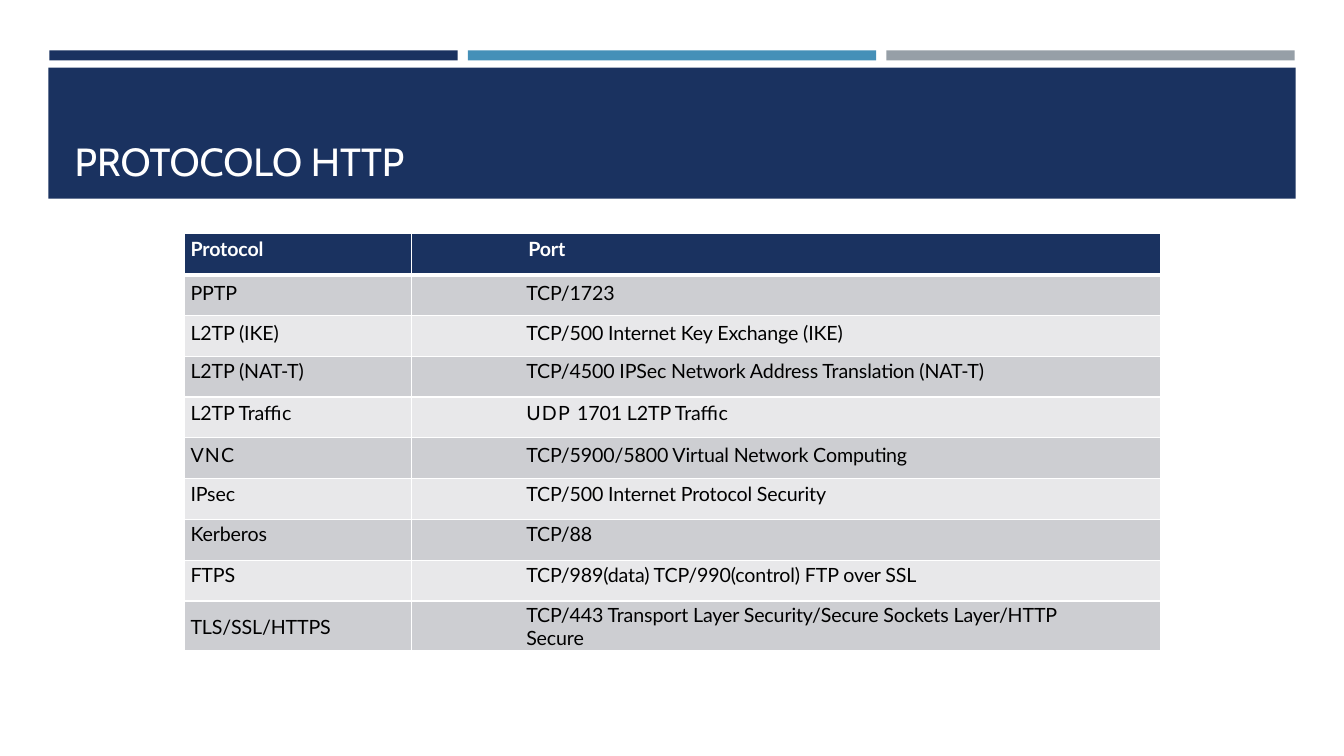
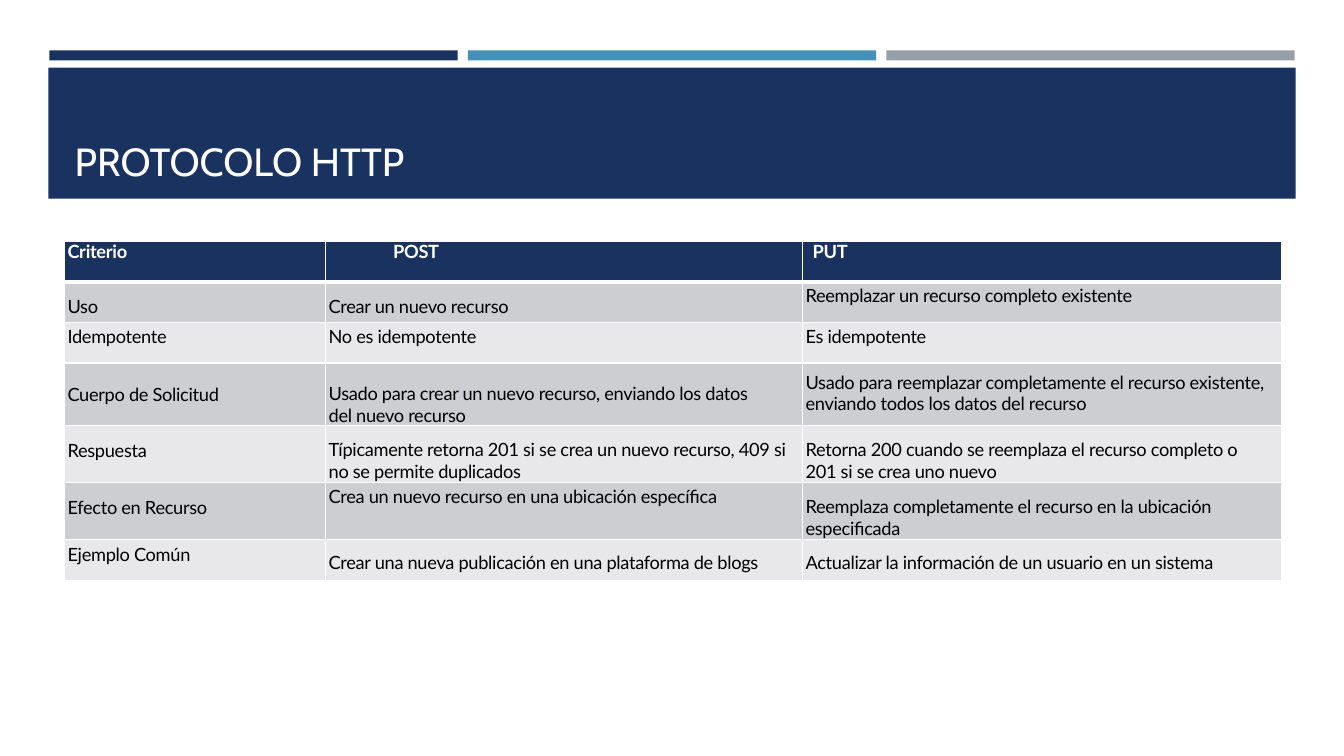
"""Build two slides that share a banded title and each hold one table."""
from dataclasses import dataclass

from lxml.etree import SubElement
from pptx import Presentation
from pptx.dml.color import RGBColor as RGB
from pptx.enum.shapes import MSO_SHAPE as SHAPE
from pptx.enum.text import MSO_ANCHOR as ANCHOR, PP_ALIGN as ALIGN
from pptx.oxml.ns import qn
from pptx.util import Inches, Pt


@dataclass(frozen=True)
class Theme:
    navy: str = "1A3260"
    blue: str = "4590B8"
    grey: str = "969FA7"
    white: str = "FFFFFF"
    black: str = "000000"
    stripes: tuple = ("E8E8EA", "CDCED2")
    title_font: str = "Cabin"
    body_font: str = "Lato"
    title_size: int = 28
    rule: int = 1
    header_rule: int = 3


T = Theme()
TITLE = "PROTOCOLO HTTP"
TRACKED = {"VNC": 80, "UDP ": 90}

PORTS = {
    "at": (1.83, 2.32, 9.68, 4.05),
    "cols": (2.25, 7.43),
    "size": 14,
    "tracking": -10,
    "head_indents": (0.06, 1.16),
    "indents": (0.06, 1.14),
    "right": (0, 0.6),
    "rows": [
        [("Protocol", 0.03), ("Port", 0.03)],
        [("PPTP", 0.06), ("TCP/1723", 0.06)],
        [("L2TP (IKE)", 0.06), ("TCP/500 Internet Key Exchange (IKE)", 0.06)],
        [("L2TP (NAT-T)", 0.03),
         ("TCP/4500 IPSec Network Address Translation (NAT-T)", 0.03)],
        [("L2TP Traffic", 0.04), ("UDP 1701 L2TP Traffic", 0.04)],
        [("VNC", 0.05), ("TCP/5900/5800 Virtual Network Computing", 0.05)],
        [("IPsec", 0.04), ("TCP/500 Internet Protocol Security", 0.04)],
        [("Kerberos", 0.03), ("TCP/88", 0.03)],
        [("FTPS", 0.03), ("TCP/989(data) TCP/990(control) FTP over SSL", 0.03)],
        [("TLS/SSL/HTTPS", 0.14),
         ("TCP/443 Transport Layer Security/Secure Sockets Layer/HTTP Secure", 0.02)],
    ],
}

METHODS = {
    "at": (0.64, 2.39, 12.07, 2.83),
    "cols": (2.59, 4.73, 4.75),
    "size": 13,
    "tracking": -20,
    "head_indents": (0.03, 0.67, 0.1),
    "indents": (0.03, 0.03, 0.03),
    "right": (0, 0, 0.15),
    "rows": [
        [("Criterio", 0), ("POST", 0), ("PUT", 0)],
        [("Uso", 0.14), ("Crear un nuevo recurso", 0.14),
         ("Reemplazar un recurso completo existente", 0.03)],
        [("Idempotente", 0.03), ("No es idempotente", 0.03), ("Es idempotente", 0.03)],
        [("Cuerpo de Solicitud", 0.2),
         ("Usado para crear un nuevo recurso, enviando los datos del nuevo recurso",
          0.19, 0.4),
         ("Usado para reemplazar completamente el recurso existente, "
          "enviando todos los datos del recurso", 0.08)],
        [("Respuesta", 0.14),
         ("Típicamente retorna 201 si se crea un nuevo recurso, "
          "409 si no se permite duplicados", 0.13),
         ("Retorna 200 cuando se reemplaza el recurso completo o "
          "201 si se crea uno nuevo", 0.13)],
        [("Efecto en Recurso", 0.14),
         ("Crea un nuevo recurso en una ubicación específica", 0.03),
         ("Reemplaza completamente el recurso en la ubicación especificada", 0.13)],
        [("Ejemplo Común", 0.04),
         ("Crear una nueva publicación en una plataforma de blogs", 0.12),
         ("Actualizar la información de un usuario en un sistema", 0.12)],
    ],
}


def style_run(r, font, size, color, bold=False):
    r.font.name, r.font.size, r.font.bold = font, Pt(size), bold
    r.font.color.rgb = RGB.from_string(color)


def set_borders(cell, bottom):
    tc_pr = cell._tc.get_or_add_tcPr()
    for side, width in (("L", T.rule), ("R", T.rule), ("T", T.rule), ("B", bottom)):
        ln = SubElement(tc_pr, qn(f"a:ln{side}"), w=str(Pt(width)))
        fill = SubElement(ln, qn("a:solidFill"))
        SubElement(fill, qn("a:srgbClr"), val=T.white)


prs = Presentation()
prs.slide_width, prs.slide_height = Inches(13.33), Inches(7.5)

layout = prs.slide_layouts.get_by_name("Title Only")
for ph in list(layout.placeholders):
    if ph.placeholder_format.idx != 0:
        ph._element.getparent().remove(ph._element)
title = layout.placeholders[0]
title.left, title.top, title.width, title.height = map(Inches, (0.64, 0.77, 12.06, 1.11))
title.text_frame.vertical_anchor = ANCHOR.BOTTOM

slides = [prs.slides.add_slide(layout) for _ in (PORTS, METHODS)]

bands = [(0.49 + 4.15 * i, 0.5, 4.05, 0.1, color)
         for i, color in enumerate((T.navy, T.blue, T.grey))]
bands.append((0.48, 0.67, 12.37, 1.3, T.navy))
shapes = []
for *box, color in bands:
    sp = slides[0].shapes.add_shape(SHAPE.RECTANGLE, *map(Inches, box))
    sp.shadow.inherit = False
    sp.fill.solid()
    sp.fill.fore_color.rgb = RGB.from_string(color)
    sp.line.fill.background()
    shapes.append(sp)
for sp in shapes:
    title._element.addprevious(sp._element)

for s, data in zip(slides, (PORTS, METHODS)):
    tf = s.shapes.title.text_frame
    tf.text = TITLE
    p = tf.paragraphs[0]
    p.alignment = ALIGN.LEFT
    style_run(p.runs[0], T.title_font, T.title_size, T.white)

    rows = data["rows"]
    table = s.shapes.add_table(len(rows), len(data["cols"]), *map(Inches, data["at"])).table
    table.horz_banding = False
    for column, width in zip(table.columns, data["cols"]):
        column.width = Inches(width)

    for i, row in enumerate(rows):
        head = i == 0
        indents = data["head_indents" if head else "indents"]
        for j, (text, top, *right) in enumerate(row):
            cell = table.cell(i, j)
            cell.margin_left, cell.margin_top = Inches(indents[j]), Inches(top)
            cell.margin_right = Inches(right[0] if right else data["right"][j])
            cell.margin_bottom = 0
            set_borders(cell, T.header_rule if head else T.rule)
            cell.fill.solid()
            cell.fill.fore_color.rgb = RGB.from_string(T.navy if head else T.stripes[i % 2])

            p = cell.text_frame.paragraphs[0]
            lead = next((t for t in TRACKED if text.startswith(t)), "")
            for part in filter(None, (lead, text[len(lead):])):
                r = p.add_run()
                r.text = part
                style_run(r, T.body_font, data["size"], T.white if head else T.black, head)
                r.font._element.set("spc", str(TRACKED.get(part, data["tracking"])))

prs.save("out.pptx")
